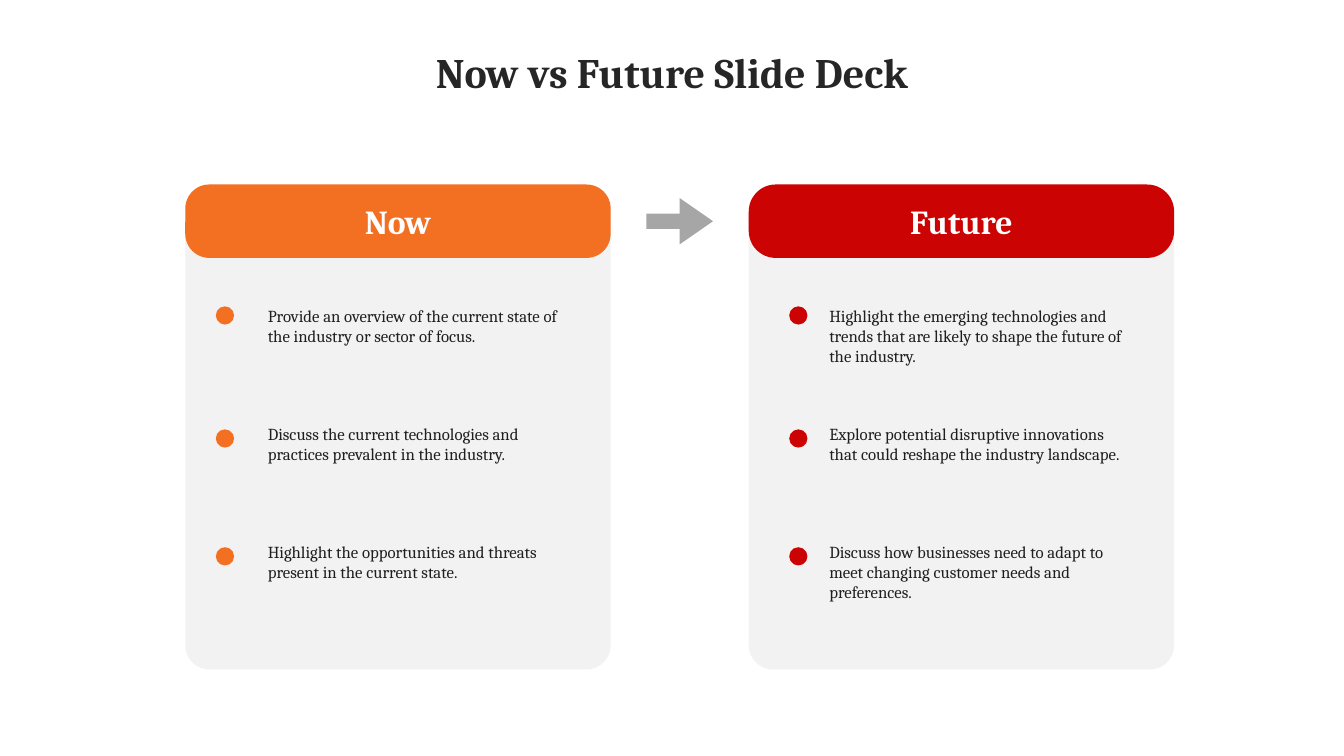
from pptx import Presentation
from pptx.dml.color import RGBColor
from pptx.enum.shapes import MSO_SHAPE
from pptx.enum.text import MSO_ANCHOR, MSO_AUTO_SIZE, PP_ALIGN
from pptx.util import Cm, Pt

FONT = "Cambria"
TITLE = "Now vs Future Slide Deck"
COLUMNS = [
    {"heading": "Now", "color": "F37022", "rounding": 0.328,
     "left": 4.67, "dot_left": 5.44, "text_left": 6.5, "text_height": 1.27,
     "points": [
         "Provide an overview of the current state of the industry or sector of focus.",
         "Discuss the current technologies and practices prevalent in the industry.",
         "Highlight the opportunities and threats present in the current state.",
     ]},
    {"heading": "Future", "color": "CB0303", "rounding": 0.368,
     "left": 18.87, "dot_left": 19.89, "text_left": 20.65, "text_height": 1.8,
     "points": [
         "Highlight the emerging technologies and trends that are likely to shape "
         "the future of the industry.",
         "Explore potential disruptive innovations that could reshape the industry landscape.",
         "Discuss how businesses need to adapt to meet changing customer needs and preferences.",
     ]},
]

SLIDE_WIDTH, SLIDE_HEIGHT = 33.87, 19.05
COLUMN_WIDTH = 10.72
CARD_TOP, CARD_HEIGHT = 4.7, 12.17
HEADER_TOP, HEADER_HEIGHT = 4.65, 1.85
ARROW_WIDTH, ARROW_HEIGHT = 1.68, 1.17
DOT_TOPS, DOT_SIZE = (7.72, 10.82, 13.79), 0.46
TEXT_TOP, TEXT_PITCH, TEXT_WIDTH = 7.57, 2.98, 8.18


def rgb(color):
    return RGBColor.from_string(color)


def add_filled(slide, kind, box, color, adjustments=()):
    shape = slide.shapes.add_shape(kind, *map(Cm, box))
    shape.shadow.inherit = False
    shape.fill.solid()
    shape.fill.fore_color.rgb = rgb(color)
    shape.line.fill.background()
    for index, value in enumerate(adjustments):
        shape.adjustments[index] = value
    return shape


def write(text_frame, text, size, color, bold=False, align=PP_ALIGN.LEFT):
    text_frame.word_wrap = True
    paragraph = text_frame.paragraphs[0]
    paragraph.alignment = align
    run = paragraph.add_run()
    run.text = text
    run.font.name = FONT
    run.font.size = Pt(size)
    run.font.bold = bold
    run.font.color.rgb = rgb(color)


def add_title(slide):
    title = slide.shapes.title
    title.left, title.top = Cm(0), Cm(1.04)
    title.width, title.height = Cm(SLIDE_WIDTH), Cm(1.55)
    title.text_frame.auto_size = MSO_AUTO_SIZE.NONE
    title.text_frame.vertical_anchor = MSO_ANCHOR.TOP
    write(title.text_frame, TITLE, 30, "262626", True, PP_ALIGN.CENTER)


def add_column(slide, column):
    left, color = column["left"], column["color"]
    add_filled(slide, MSO_SHAPE.ROUNDED_RECTANGLE,
               (left, CARD_TOP, COLUMN_WIDTH, CARD_HEIGHT), "F2F2F2", [0.057])
    header = add_filled(slide, MSO_SHAPE.ROUNDED_RECTANGLE,
                        (left, HEADER_TOP, COLUMN_WIDTH, HEADER_HEIGHT),
                        color, [column["rounding"]])
    header.text_frame.vertical_anchor = MSO_ANCHOR.MIDDLE
    write(header.text_frame, column["heading"], 24, "FFFFFF", True, PP_ALIGN.CENTER)
    for row, (point, dot_top) in enumerate(zip(column["points"], DOT_TOPS)):
        add_filled(slide, MSO_SHAPE.OVAL,
                   (column["dot_left"], dot_top, DOT_SIZE, DOT_SIZE), color)
        box = (column["text_left"], TEXT_TOP + row * TEXT_PITCH,
               TEXT_WIDTH, column["text_height"])
        textbox = slide.shapes.add_textbox(*map(Cm, box))
        write(textbox.text_frame, point, 12, "1F1F1F")
        textbox.text_frame.auto_size = MSO_AUTO_SIZE.SHAPE_TO_FIT_TEXT


def add_arrow(slide):
    """Centre the arrow in the gap between the two column headers."""
    gap_center = (COLUMNS[0]["left"] + COLUMN_WIDTH + COLUMNS[1]["left"]) / 2
    top = HEADER_TOP + (HEADER_HEIGHT - ARROW_HEIGHT) / 2
    add_filled(slide, MSO_SHAPE.RIGHT_ARROW,
               (gap_center - ARROW_WIDTH / 2, top, ARROW_WIDTH, ARROW_HEIGHT),
               "A6A6A6", [0.33, 0.72])


def main():
    presentation = Presentation()
    presentation.slide_width = Cm(SLIDE_WIDTH)
    presentation.slide_height = Cm(SLIDE_HEIGHT)
    slide = presentation.slides.add_slide(presentation.slide_layouts[5])
    add_title(slide)
    for column in COLUMNS:
        add_column(slide, column)
    add_arrow(slide)
    presentation.save("out.pptx")


if __name__ == "__main__":
    main()
